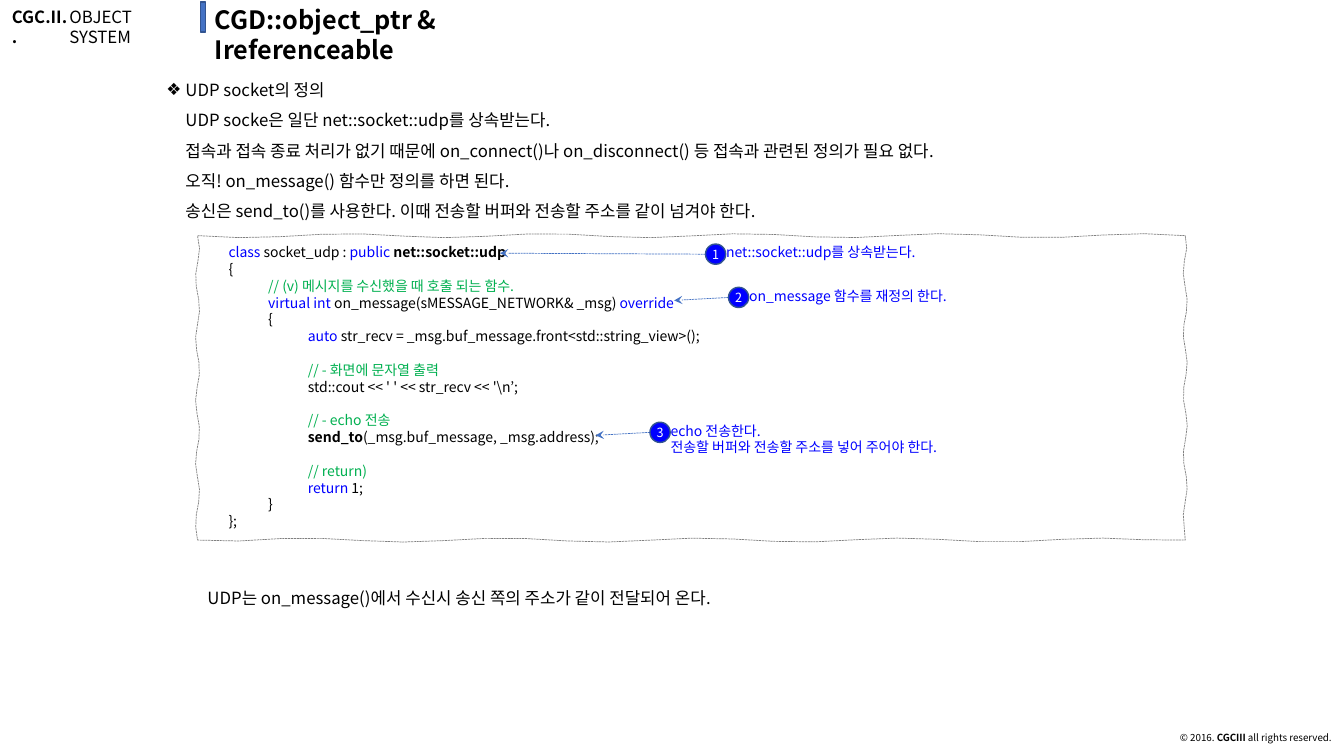
from math import sin
from pptx import Presentation, util as u
from pptx.dml.color import RGBColor
from pptx.enum import dml, shapes, text
from pptx.oxml.ns import qn
from lxml import etree

BLACK, WHITE, BLUE, GREEN = "000000", "FFFFFF", "0000FF", "00B050"
ACCENT, EDGE, GREY = "4472C4", "325491", "808080"


def tint(code):
    return RGBColor.from_string(code)


def child(parent, tag, **attrs):
    return etree.SubElement(parent, qn(tag), {k: str(v) for k, v in attrs.items()})


def write(para, words, size=12, color=BLACK, bold=False, face="Noto Sans CJK KR"):
    run = para.add_run()
    run.text = words
    font = run.font
    font.size, font.bold, font.name = u.Pt(size), bold, face
    font.color.rgb = tint(color)
    child(font._element, "a:ea", typeface=face)


class Page:
    def __init__(self, deck):
        self.slide = deck.slides.add_slide(deck.slide_layouts[1])
        self.items = self.slide.shapes

    def place(self, shape, box):
        shape.left, shape.top, shape.width, shape.height = map(u.Cm, box)
        return self.setup(shape.text_frame)

    def setup(self, frame):
        frame.word_wrap = True
        frame.auto_size = text.MSO_AUTO_SIZE.NONE
        frame.vertical_anchor = text.MSO_ANCHOR.TOP
        return frame

    def lines(self, frame, rows, align=text.PP_ALIGN.LEFT, space=1.0, **style):
        for i, row in enumerate(rows):
            para = frame.paragraphs[0] if i == 0 else frame.add_paragraph()
            para.alignment, para.line_spacing = align, space
            para.space_before = u.Pt(0)
            for part in [(row,)] if isinstance(row, str) else row:
                look = dict(zip(("color", "bold"), part[1:]))
                write(para, part[0], **{**style, **look})

    def title(self, words, box):
        self.lines(self.place(self.items.title, box), [words], size=18, bold=True)

    def list(self, rows, box):
        frame = self.place(self.slide.placeholders[1], box)
        self.lines(frame, rows, space=1.5)
        for i, para in enumerate(frame.paragraphs):
            props = para._p.get_or_add_pPr()
            props.set("marL", str(u.Cm(0.48)))
            props.set("indent", str(0 if i else -u.Cm(0.48)))
            if i:
                child(props, "a:buNone")
            else:
                child(props, "a:buChar", char="❖")

    def label(self, rows, box, inset=None, **style):
        frame = self.place(self.items.add_textbox(0, 0, 0, 0), box)
        if inset is not None:
            frame.margin_left = u.Cm(inset)
        self.lines(frame, rows, **style)

    def paint(self, shape, fill, line, width=1):
        shape.shadow.inherit = False
        shape.fill.solid()
        shape.fill.fore_color.rgb = tint(fill)
        shape.line.color.rgb = tint(line)
        shape.line.width = u.Pt(width)

    def solid(self, kind, box, fill):
        shape = self.items.add_shape(kind, *map(u.Cm, box))
        self.paint(shape, fill, EDGE)
        return shape

    def arrow(self, start, end):
        link = self.items.add_connector(
            shapes.MSO_CONNECTOR.STRAIGHT, *map(u.Cm, start + end))
        link.line.color.rgb = tint(ACCENT)
        link.line.width = u.Pt(0.5)
        link.line.dash_style = dml.MSO_LINE.SQUARE_DOT
        child(link.line._get_or_add_ln(), "a:tailEnd", type="stealth")
        child(link._element.spPr, "a:effectLst")

    def sketch(self, box, steps=24, sway=0.05):
        x, y, w, h = box
        ends = [(x, y), (x + w, y), (x + w, y + h), (x, y + h)]
        spots = []
        for side, (ax, ay) in enumerate(ends):
            bx, by = ends[(side + 1) % 4]
            for i in range(steps):
                off = sway * sin(1.3 * i + side) if i else 0
                px = ax + (bx - ax) * i / steps + off * (side % 2)
                py = ay + (by - ay) * i / steps + off * (1 - side % 2)
                spots.append((u.Cm(px), u.Cm(py)))
        pen = self.items.build_freeform(*spots[0], scale=1.0)
        pen.add_line_segments(spots[1:], close=True)
        shape = pen.convert_to_shape()
        self.paint(shape, WHITE, GREY, 0.5)
        shape.line.dash_style = dml.MSO_LINE.SQUARE_DOT
        return shape

    def code(self, rows, box):
        frame = self.setup(self.sketch(box).text_frame)
        frame.margin_left = frame.margin_right = u.Cm(0.83)
        frame.margin_top = frame.margin_bottom = u.Cm(0.25)
        self.lines(frame, [row[1:] for row in rows], size=10)
        for para, row in zip(frame.paragraphs, rows):
            stops = child(para._p.get_or_add_pPr(), "a:tabLst")
            for n in (1, 2):
                child(stops, "a:tab", pos=u.Cm(n), algn="l")
            if row[0]:
                para.space_before = u.Pt(12)

    def note(self, mark, spot, tip, rows):
        x, y = spot
        size = 0.51
        self.label(rows, (x + 0.52, y - 0.13, 10, 0.4 + 0.43 * len(rows)),
                   inset=0, size=10, color=BLUE)
        self.arrow((x, y + size / 2), tip)
        dot = self.solid(shapes.MSO_SHAPE.OVAL, (x, y, size, size), BLUE)
        frame = self.setup(dot.text_frame)
        frame.margin_left = frame.margin_right = 0
        frame.margin_top = frame.margin_bottom = 0
        frame.vertical_anchor = text.MSO_ANCHOR.MIDDLE
        self.lines(frame, [mark], align=text.PP_ALIGN.CENTER, size=9, color=WHITE)


INTRO = [
    "UDP socket의 정의",
    "UDP socke은 일단 net::socket::udp를 상속받는다.",
    "접속과 접속 종료 처리가 없기 때문에 on_connect()나 on_disconnect() 등 접속과 관련된 정의가 필요 없다.",
    "오직! on_message() 함수만 정의를 하면 된다.",
    "송신은 send_to()를 사용한다. 이때 전송할 버퍼와 전송할 주소를 같이 넘겨야 한다.",
]

CODE = [
    (0, ("class", BLUE), (" socket_udp : ",), ("public ", BLUE),
     ("net::socket::udp", BLACK, True)),
    (0, ("{",)),
    (0, ("\t// (v) 메시지를 수신했을 때 호출 되는 함수.", GREEN)),
    (0, ("\tvirtual int", BLUE), (" on_message(sMESSAGE_NETWORK& _msg) ",),
     ("override", BLUE)),
    (0, ("\t{",)),
    (0, ("\t\tauto", BLUE),
     (" str_recv = _msg.buf_message.front<std::string_view>();",)),
    (1, ("\t\t// - 화면에 문자열 출력", GREEN)),
    (0, ("\t\tstd::cout << ' ' << str_recv << '\\n’;",)),
    (1, ("\t\t// - echo 전송", GREEN)),
    (0, ("\t\t",), ("send_to", BLACK, True), ("(_msg.buf_message, _msg.address);",)),
    (1, ("\t\t// return)", GREEN)),
    (0, ("\t\treturn", BLUE), (" 1;",)),
    (0, ("\t}",)),
    (0, ("};",)),
]

NOTES = [
    ((17.78, 6.15), (12.6, 6.38), ["net::socket::udp를 상속받는다."]),
    ((18.36, 7.24), (16.99, 7.57), ["on_message 함수를 재정의 한다."]),
    ((16.38, 10.64), (15.01, 10.97),
     ["echo 전송한다.", "전송할 버퍼와 전송할 주소를 넣어 주어야 한다."]),
]


def main():
    deck = Presentation()
    deck.slide_width, deck.slide_height = u.Cm(33.87), u.Cm(19.05)
    page = Page(deck)
    page.title("CGD::object_ptr & Ireferenceable", (5.16, -0.03, 10.57, 1.02))
    page.label([[("© 2016. ",), ("CGCIII", BLACK, True), (" all rights reserved.",)]],
               (27.08, 18.36, 6.73, 0.66), size=7, space=0.9,
               align=text.PP_ALIGN.RIGHT)
    page.label(["OBJECT SYSTEM"], (1.5, 0.05, 3.66, 0.76))
    page.label(["CGC.II.."], (0.05, 0.05, 1.96, 0.76), bold=True)
    page.solid(shapes.MSO_SHAPE.RECTANGLE, (5.05, 0.05, 0.13, 0.76), ACCENT)
    page.list(INTRO, (3.94, 1.63, 27.18, 3.99))
    page.code(CODE, (4.98, 5.94, 24.89, 7.67))
    for i, (spot, tip, rows) in enumerate(NOTES, 1):
        page.note(str(i), spot, tip, rows)
    page.label(["UDP는 on_message()에서 수신시 송신 쪽의 주소가 같이 전달되어 온다."],
               (4.98, 14.43, 24.89, 0.91), space=1.5)
    deck.save("out.pptx")


if __name__ == "__main__":
    main()
